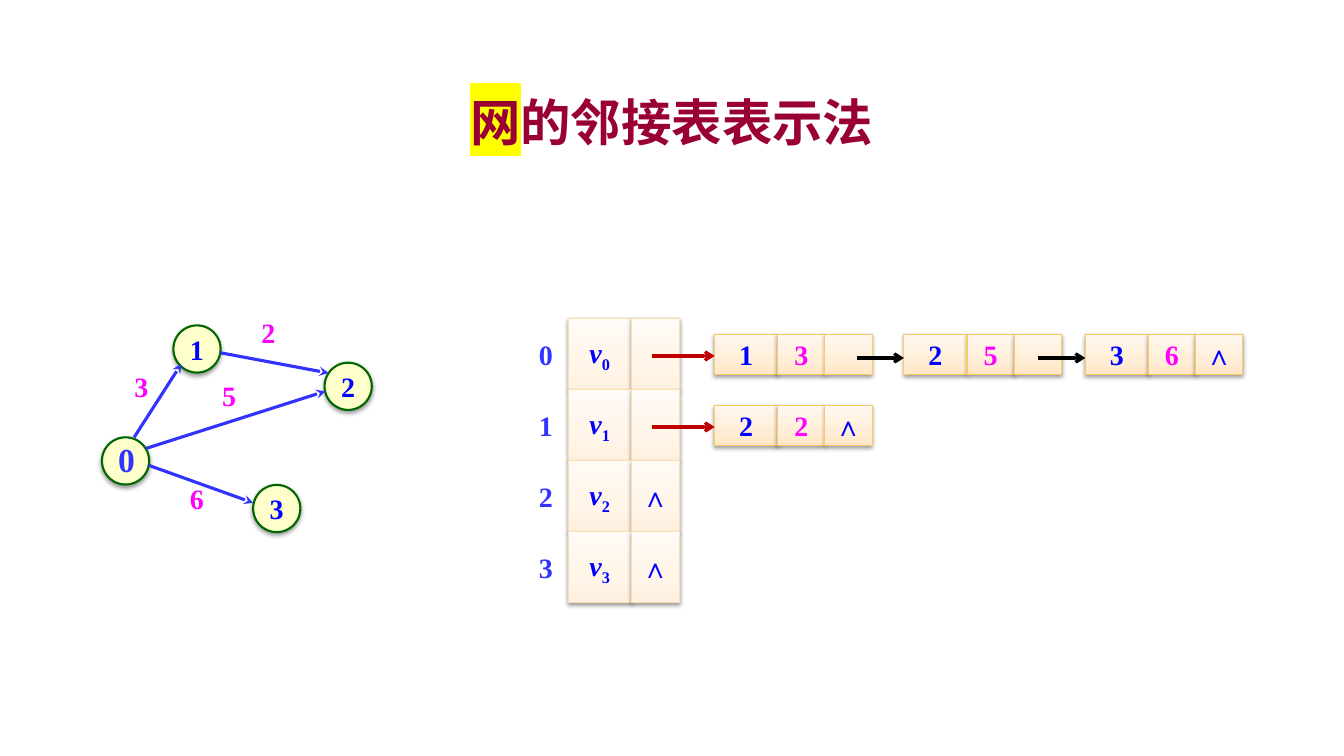
from copy import deepcopy
from dataclasses import dataclass

from lxml.etree import SubElement
from pptx import Presentation
from pptx.dml.color import RGBColor
from pptx.enum.shapes import MSO_CONNECTOR, MSO_SHAPE
from pptx.enum.text import MSO_ANCHOR, PP_ALIGN
from pptx.oxml.ns import qn
from pptx.util import Cm, Pt

SERIF = "Times New Roman"
CJK = "Noto Sans CJK SC"
BLUE, INDIGO, MAGENTA = "0000FF", "3333FF", "FF00FF"
RED, BLACK = "C00000", "000000"
NIL = "∧"

DATA_W, LINK_W = 1.59, 1.19
ROW_TOP, ROW_PITCH = 8.03, 1.79
NODE_TOP, NODE_H = 8.43, 1.0
CIRCLE = 1.19


@dataclass
class CellStyle:
    stops: tuple[str, str, str]
    line: str


@dataclass
class Cell:
    text: str
    width: float
    color: str = BLUE
    subscript: str = ""


@dataclass
class ListNode:
    row: int
    left: float
    vertex: str
    weight: str
    link: str
    arrow_start: float
    arrow_drop: float
    arrow_color: str


@dataclass
class Vertex:
    name: str
    left: float
    top: float


@dataclass
class Edge:
    start: tuple[float, float]
    end: tuple[float, float]
    weight: str
    label_at: tuple[float, float]


HEAD_STYLE = CellStyle(("FFF1DF", "FFF5E8", "FFFBF6"), "FBDDB2")
NODE_STYLE = CellStyle(("FFE7C6", "FFEED7", "FFF8F0"), "FDC960")
HEAD_LINKS = ("", "", NIL, NIL)
LIST_NODES = (
    ListNode(0, 18.01, "1", "3", "", 16.43, 0.54, RED),
    ListNode(0, 22.78, "2", "5", "", 21.59, 0.59, BLACK),
    ListNode(0, 27.35, "3", "6", NIL, 26.16, 0.59, BLACK),
    ListNode(1, 18.01, "2", "2", NIL, 16.43, 0.54, RED),
)
VERTICES = (
    Vertex("1", 4.37, 8.2),
    Vertex("2", 8.18, 9.14),
    Vertex("", 2.57, 11.02),
    Vertex("3", 6.38, 12.22),
)
EDGES = (
    Edge((3.38, 11.02), (4.57, 9.17), "3", (2.97, 9.32)),
    Edge((3.76, 11.73), (6.38, 12.67), "6", (4.37, 12.14)),
    Edge((3.68, 11.3), (8.2, 9.86), "5", (5.18, 9.55)),
    Edge((5.56, 8.89), (8.28, 9.4), "2", (6.17, 7.95)),
)


def rgb(color: str) -> RGBColor:
    return RGBColor.from_string(color)


def style_paragraph(p, color: str, size: float, font: str = SERIF) -> None:
    p.alignment = PP_ALIGN.CENTER
    p.font.name, p.font.size, p.font.bold = font, Pt(size), True
    p.font.color.rgb = rgb(color)


def add_soft_shadow(s) -> None:
    s.shadow.inherit = False
    effects = s._element.spPr.find(qn("a:effectLst"))
    shadow = SubElement(effects, qn("a:outerShdw"), blurRad=str(Pt(3.1)),
                        dist=str(Pt(1.6)), dir="5400000", rotWithShape="0")
    color = SubElement(shadow, qn("a:srgbClr"), val=BLACK)
    SubElement(color, qn("a:alpha"), val="38000")


def fill_gradient(s, colors: tuple[str, str, str]) -> None:
    """Fill with three stops running from bottom to top."""
    s.fill.gradient()
    s.fill.gradient_angle = 90
    stops = s._element.spPr.find(qn("a:gradFill")).find(qn("a:gsLst"))
    stops.append(deepcopy(stops[-1]))
    for stop, position, color in zip(s.fill.gradient_stops, (0, 0.35, 1), colors):
        stop.position = position
        stop.color.rgb = rgb(color)


def add_box(slide, kind, left: float, top: float, width: float, height: float,
            line: str, line_width: float):
    s = slide.shapes.add_shape(kind, Cm(left), Cm(top), Cm(width), Cm(height))
    s.line.color.rgb = rgb(line)
    s.line.width = Pt(line_width)
    add_soft_shadow(s)
    s.text_frame.word_wrap = False
    s.text_frame.vertical_anchor = MSO_ANCHOR.MIDDLE
    return s


def add_cells(slide, left: float, top: float, height: float, style: CellStyle,
              cells: tuple[Cell, ...]) -> None:
    for cell in cells:
        s = add_box(slide, MSO_SHAPE.RECTANGLE, left, top, cell.width, height,
                    style.line, 0.75)
        fill_gradient(s, style.stops)
        if cell.text:
            p = s.text_frame.paragraphs[0]
            style_paragraph(p, cell.color, 20)
            r = p.add_run()
            r.text = cell.text
            if cell.subscript:
                r.font.italic = True
                r = p.add_run()
                r.text = cell.subscript
                r.font._element.set("baseline", "-25000")
        left += cell.width


def add_label(slide, text: str, left: float, top: float, width: float,
              height: float, color: str, size: float = 20) -> None:
    tf = slide.shapes.add_textbox(Cm(left), Cm(top), Cm(width), Cm(height)).text_frame
    tf.word_wrap = True
    tf.margin_left = tf.margin_right = tf.margin_top = tf.margin_bottom = 0
    p = tf.paragraphs[0]
    style_paragraph(p, color, size)
    p.add_run().text = text


def add_arrow(slide, start: tuple[float, float], end: tuple[float, float],
              color: str, head: str) -> None:
    c = slide.shapes.add_connector(MSO_CONNECTOR.STRAIGHT, Cm(start[0]), Cm(start[1]),
                                   Cm(end[0]), Cm(end[1]))
    c.line.color.rgb = rgb(color)
    c.line.width = Pt(2.25)
    SubElement(c.line._get_or_add_ln(), qn("a:tailEnd"), type=head)
    SubElement(c._element.spPr, qn("a:effectLst"))


def add_title(slide) -> None:
    tf = slide.shapes.add_textbox(Cm(2.54), Cm(2.34), Cm(28.78), Cm(2.31)).text_frame
    tf.word_wrap = True
    p = tf.paragraphs[0]
    p.line_spacing = 0.9
    style_paragraph(p, "990033", 36, CJK)
    SubElement(p._p.pPr.find(qn("a:defRPr")), qn("a:ea"), typeface=CJK)
    for text in ("网", "的邻接表表示法"):
        r = p.add_run()
        r.text = text
        # East Asian glyphs take their face from the run
        r_pr = r.font._element
        if text == "网":
            highlight = SubElement(r_pr, qn("a:highlight"))
            SubElement(highlight, qn("a:srgbClr"), val="FFFF00")
        SubElement(r_pr, qn("a:ea"), typeface=CJK)


def add_adjacency_list(slide) -> None:
    for row, link in enumerate(HEAD_LINKS):
        top = ROW_TOP + row * ROW_PITCH
        add_cells(slide, 14.32, top, ROW_PITCH, HEAD_STYLE,
                  (Cell("v", DATA_W, subscript=str(row)), Cell(link, LINK_W + 0.02)))
        add_label(slide, str(row), 13.27, top + 0.48, 0.98, 0.86, INDIGO)
    for node in LIST_NODES:
        top = NODE_TOP + node.row * ROW_PITCH
        add_cells(slide, node.left, top, NODE_H, NODE_STYLE,
                  (Cell(node.vertex, DATA_W), Cell(node.weight, LINK_W, MAGENTA),
                   Cell(node.link, LINK_W)))
        y = top + node.arrow_drop
        add_arrow(slide, (node.arrow_start, y), (node.left, y), node.arrow_color, "arrow")


def add_graph(slide) -> None:
    for vertex in VERTICES:
        s = add_box(slide, MSO_SHAPE.OVAL, vertex.left, vertex.top, CIRCLE, CIRCLE,
                    "006600", 1.5)
        s.fill.solid()
        s.fill.fore_color.rgb = rgb("FFFFCC")
        if vertex.name:
            p = s.text_frame.paragraphs[0]
            style_paragraph(p, BLUE, 20)
            p.add_run().text = vertex.name
    for edge in EDGES:
        add_arrow(slide, edge.start, edge.end, INDIGO, "stealth")
        add_label(slide, edge.weight, *edge.label_at, CIRCLE, 1, MAGENTA)
    add_label(slide, "0", 2.39, 11.05, 1.6, 1.02, INDIGO, 24)


def main() -> None:
    prs = Presentation()
    prs.slide_width, prs.slide_height = Cm(33.87), Cm(19.05)
    slide = prs.slides.add_slide(prs.slide_layouts[6])
    add_adjacency_list(slide)
    add_title(slide)
    add_graph(slide)
    prs.save("out.pptx")


if __name__ == "__main__":
    main()
